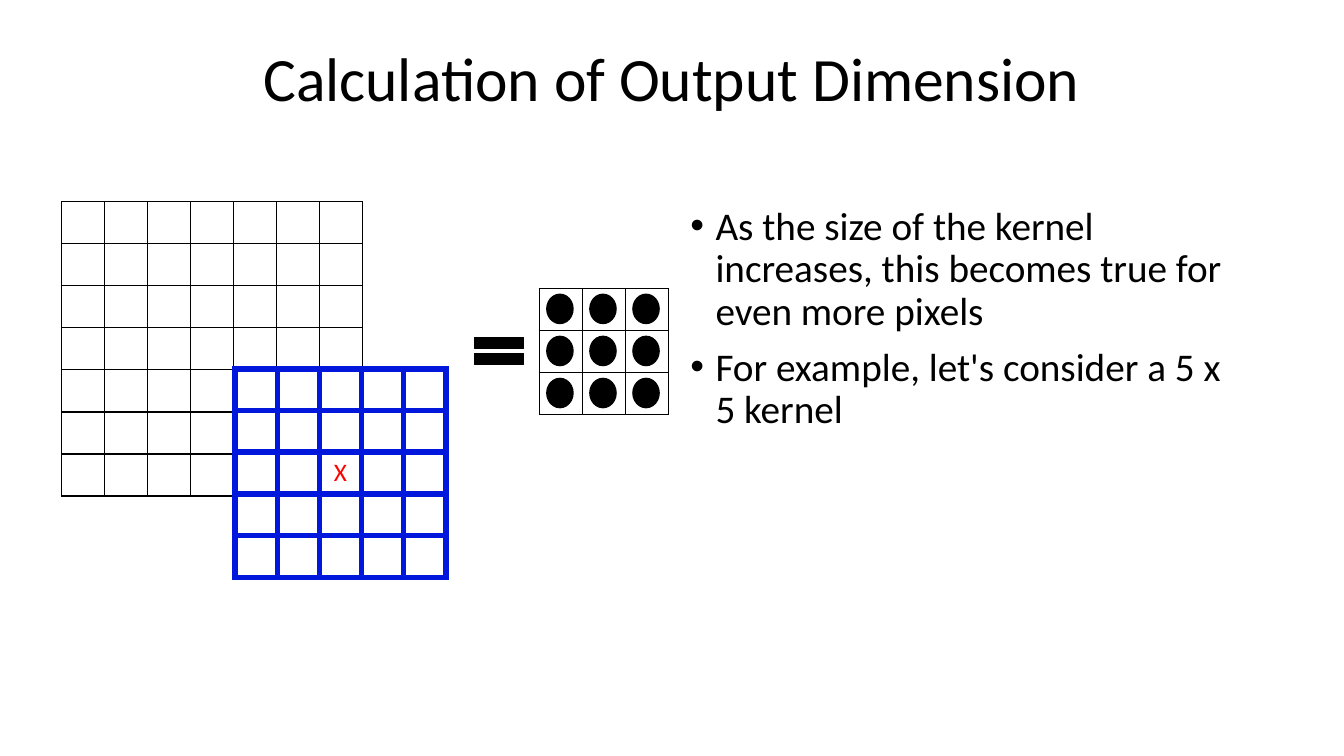
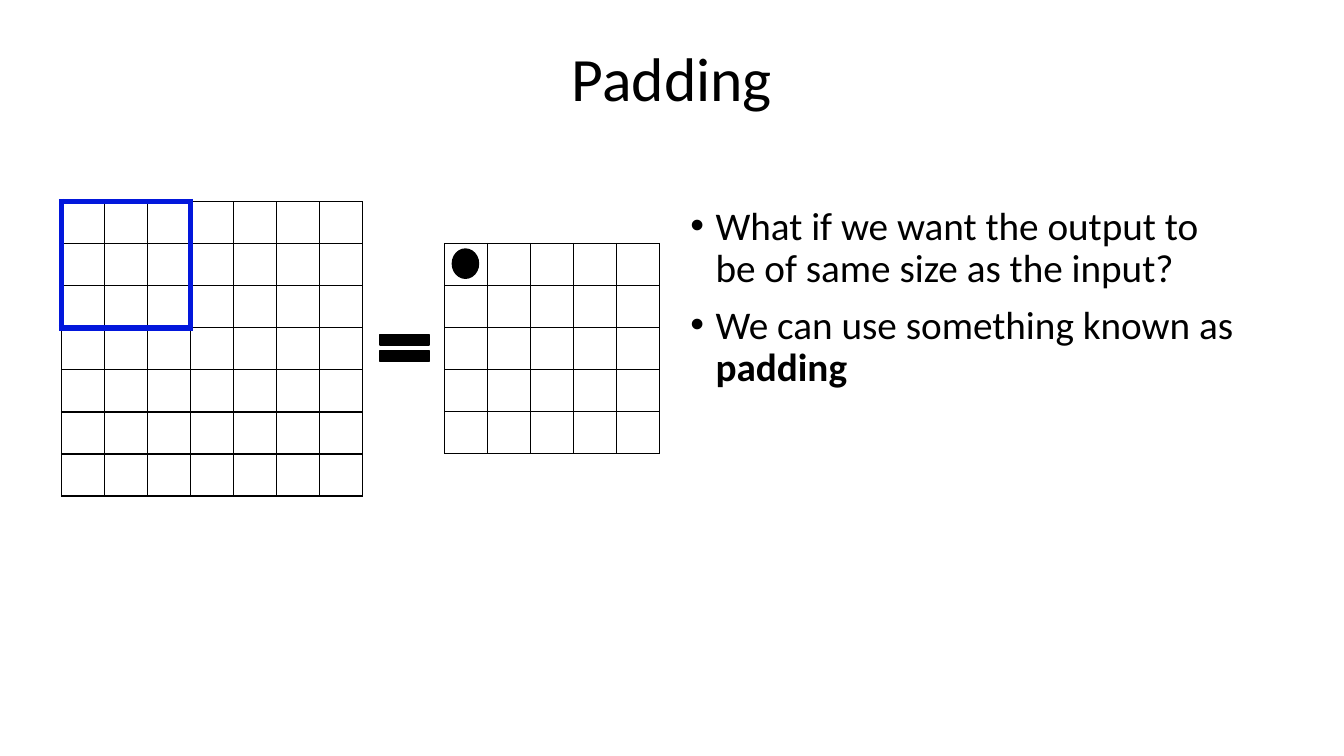
"""Builds two slides on convolution output size and padding."""
from dataclasses import dataclass
from itertools import product

from lxml.etree import SubElement
from pptx import Presentation
from pptx.dml.color import RGBColor
from pptx.enum.shapes import MSO_SHAPE
from pptx.enum.text import MSO_ANCHOR, PP_ALIGN
from pptx.oxml import parse_xml
from pptx.oxml.ns import nsdecls, qn
from pptx.util import Pt


@dataclass(frozen=True)
class Theme:
    """Colours, type sizes and line widths shared by the slides."""
    font: str = "Calibri"
    ink: str = "000000"
    kernel: str = "0217DC"
    mark: str = "FF0000"
    title_size: float = 44
    body_size: float = 28
    mark_size: float = 18
    grid_line: float = 1
    kernel_line: float = 4.5
    line_spacing: float = 0.9
    paragraph_gap: float = 10
    indent: float = 18


@dataclass(frozen=True)
class Box:
    """A rectangle in points."""
    left: float
    top: float
    width: float
    height: float

    def lengths(self):
        """Return the four lengths for a python-pptx call."""
        return [Pt(value) for value in (self.left, self.top, self.width, self.height)]


THEME = Theme()
PLAIN_TABLE_STYLE = "{2D5ABB26-0587-4C30-8999-92F81FD0307C}"
TITLE_BOX = Box(66, 28.8, 828, 58.6)
BODY_BOX = Box(486, 144, 408, 342)
CELL_WIDTH, CELL_HEIGHT = 30.75, 30.05
INPUT_CELLS = 7


def grid_box(left, top, count):
    """Return the box of a square grid of standard cells."""
    return Box(left, top, count * CELL_WIDTH, count * CELL_HEIGHT)


INPUT_BOX = grid_box(44, 144, INPUT_CELLS)


def style_run(run, size, color=THEME.ink, bold=False):
    """Set the font of a run."""
    run.font.name = THEME.font
    run.font.size = Pt(size)
    run.font.bold = bold
    run.font.color.rgb = RGBColor.from_string(color)


def add_title(slide, box, text):
    """Add the centred title."""
    frame = slide.shapes.add_textbox(*box.lengths()).text_frame
    frame.word_wrap = True
    frame.vertical_anchor = MSO_ANCHOR.MIDDLE
    frame.text = text
    paragraph = frame.paragraphs[0]
    paragraph.alignment = PP_ALIGN.CENTER
    paragraph.line_spacing = THEME.line_spacing
    style_run(paragraph.runs[0], THEME.title_size)


def add_bullets(slide, box, bullets):
    """Add bullets, each a list of (text, bold) pieces."""
    frame = slide.shapes.add_textbox(*box.lengths()).text_frame
    frame.word_wrap = True
    for index, pieces in enumerate(bullets):
        paragraph = frame.add_paragraph() if index else frame.paragraphs[0]
        properties = paragraph._p.get_or_add_pPr()
        properties.set("marL", str(Pt(THEME.indent)))
        properties.set("indent", str(-Pt(THEME.indent)))
        SubElement(properties, qn("a:buFont"), typeface="Arial")
        SubElement(properties, qn("a:buChar"), char="•")
        paragraph.line_spacing = THEME.line_spacing
        paragraph.space_before = Pt(THEME.paragraph_gap if index else 0)
        for text, bold in pieces:
            run = paragraph.add_run()
            run.text = text
            style_run(run, THEME.body_size, bold=bold)


def set_borders(cell, sides, color, width):
    """Draw the given sides (in L, R, T, B order) of a table cell."""
    properties = cell._tc.get_or_add_tcPr()
    for index, side in enumerate(sides):
        properties.insert(index, parse_xml(
            f'<a:ln{side} {nsdecls("a")} w="{Pt(width)}"><a:solidFill>'
            f'<a:srgbClr val="{color}"/></a:solidFill></a:ln{side}>'))


def add_grid(slide, box, count, color=THEME.ink, width=THEME.grid_line, outline_only=False):
    """Add a square table of clear cells and return it."""
    table = slide.shapes.add_table(count, count, *box.lengths()).table
    table.first_row = table.horz_banding = False
    table._tbl.tblPr.find(qn("a:tableStyleId")).text = PLAIN_TABLE_STYLE
    for column in table.columns:
        column.width = Pt(box.width / count)
    for row in table.rows:
        row.height = Pt(box.height / count)
    last = count - 1
    for row, column in product(range(count), repeat=2):
        cell = table.cell(row, column)
        cell.margin_top = cell.margin_bottom = 0
        cell.fill.background()
        on_edge = {"L": column == 0, "R": column == last, "T": row == 0, "B": row == last}
        sides = [side for side in "LRTB" if on_edge[side] or not outline_only]
        set_borders(cell, sides, color, width)
    return table


def mark_center(table, count):
    """Write a red X in the middle cell of a grid."""
    cell = table.cell(count // 2, count // 2)
    cell.vertical_anchor = MSO_ANCHOR.MIDDLE
    cell.text_frame.text = "X"
    paragraph = cell.text_frame.paragraphs[0]
    paragraph.alignment = PP_ALIGN.CENTER
    style_run(paragraph.runs[0], THEME.mark_size, THEME.mark)


def add_solid(slide, kind, box):
    """Add a preset shape in the ink colour."""
    shape = slide.shapes.add_shape(kind, *box.lengths())
    shape.shadow.inherit = False
    shape.fill.solid()
    shape.fill.fore_color.rgb = RGBColor.from_string(THEME.ink)
    shape.line.color.rgb = RGBColor.from_string(THEME.ink)
    shape.line.width = Pt(THEME.grid_line)


def add_output(slide, box, count, filled):
    """Add the equals sign and the output grid with dots in the filled cells."""
    add_grid(slide, box, count)
    middle = box.top + box.height / 2
    add_solid(slide, MSO_SHAPE.MATH_EQUAL, Box(box.left - 52.5, middle - 17, 47.5, 33))
    dot_width, dot_height = 18.7, 20.9
    for row, column in filled:
        left = box.left + (column + 0.5) * CELL_WIDTH - dot_width / 2 - 0.6
        top = box.top + (row + 0.5) * CELL_HEIGHT - dot_height / 2 - 0.6
        add_solid(slide, MSO_SHAPE.OVAL, Box(left, top, dot_width, dot_height))


def start_slide(presentation, title, bullets):
    """Add a slide with the title, the input grid and the bullets."""
    slide = presentation.slides.add_slide(presentation.slide_layouts[6])
    add_title(slide, TITLE_BOX, title)
    add_grid(slide, INPUT_BOX, INPUT_CELLS)
    add_bullets(slide, BODY_BOX, bullets)
    return slide


def build_dimension_slide(presentation):
    """Build the slide whose kernel reaches past the input."""
    slide = start_slide(presentation, "Calculation of Output Dimension", [
        [("As the size of the kernel increases, this becomes true for even more pixels", False)],
        [("For example, let's consider a 5 x 5 kernel", False)],
    ])
    kernel = add_grid(slide, Box(168, 263.4, 150.5, 149), 5, THEME.kernel, THEME.kernel_line)
    mark_center(kernel, 5)
    add_output(slide, grid_box(385.2, 206.2, 3), 3, product(range(3), repeat=2))


def build_padding_slide(presentation):
    """Build the slide that introduces padding."""
    slide = start_slide(presentation, "Padding", [
        [("What if we want the output to be of same size as the input?", False)],
        [("We can use something known as ", False), ("padding", True)],
    ])
    add_output(slide, grid_box(317.7, 173.9, 5), 5, [(0, 0)])
    add_grid(slide, grid_box(INPUT_BOX.left, INPUT_BOX.top, 3), 3,
             THEME.kernel, THEME.kernel_line, outline_only=True)


def main():
    """Build and save the presentation."""
    presentation = Presentation()
    presentation.slide_width, presentation.slide_height = Pt(960), Pt(540)
    build_dimension_slide(presentation)
    build_padding_slide(presentation)
    presentation.save("out.pptx")


if __name__ == "__main__":
    main()
